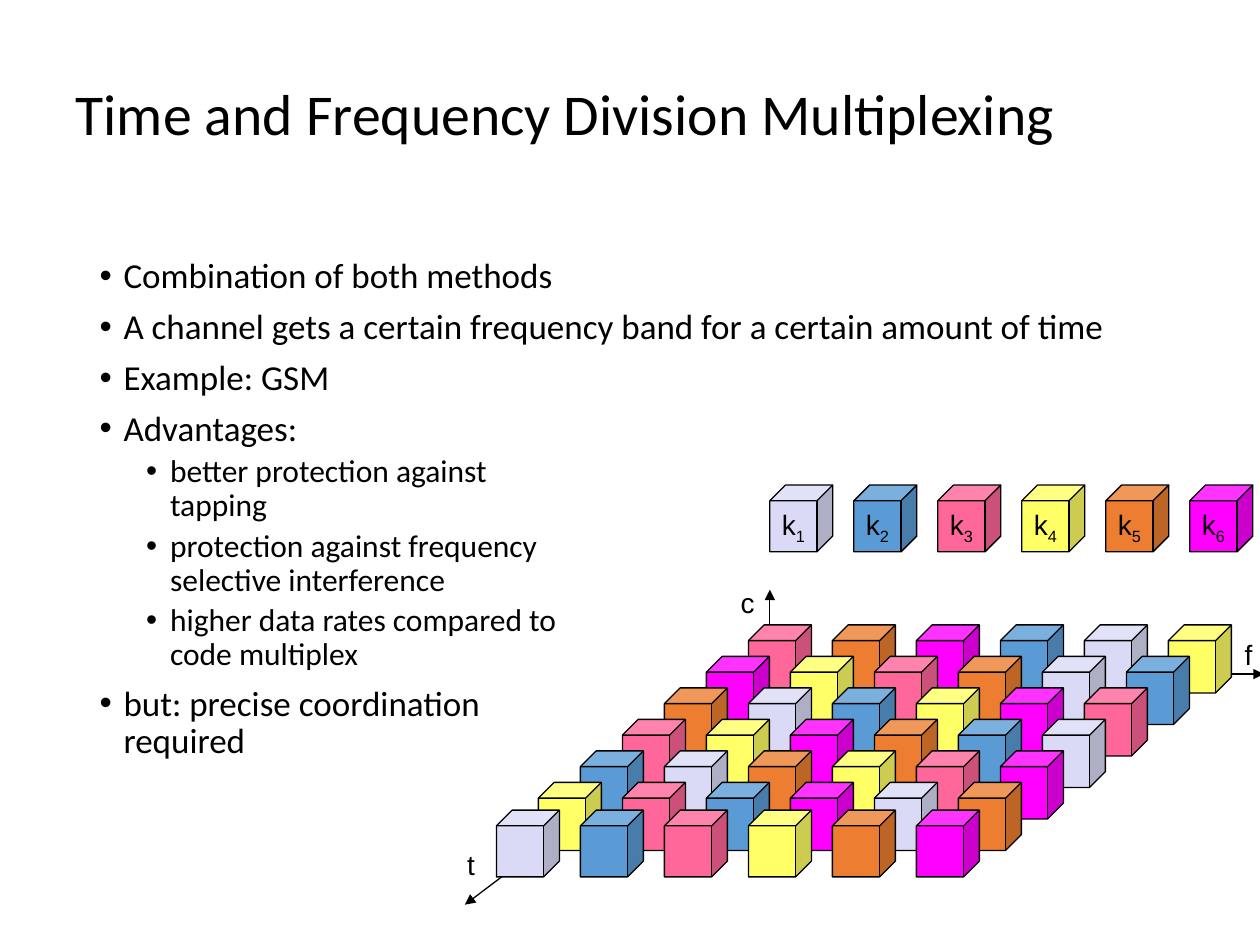
"""Build the slide on time and frequency division multiplexing."""
from dataclasses import dataclass

import lxml.etree
import pptx
import pptx.dml.color
import pptx.enum.shapes
import pptx.enum.text
import pptx.oxml.ns
import pptx.shapes.autoshape
import pptx.slide
import pptx.text.text
import pptx.util

Inches = pptx.util.Inches
Pt = pptx.util.Pt
RGBColor = pptx.dml.color.RGBColor
Align = pptx.enum.text.PP_ALIGN
Anchor = pptx.enum.text.MSO_ANCHOR
Fit = pptx.enum.text.MSO_AUTO_SIZE
qn = pptx.oxml.ns.qn

BLACK = RGBColor(0x00, 0x00, 0x00)
WHITE = RGBColor(0xFF, 0xFF, 0xFF)
LILAC = RGBColor(0xDA, 0xDA, 0xF6)
BLUE = RGBColor(0x5B, 0x9B, 0xD5)
PINK = RGBColor(0xFF, 0x66, 0x99)
YELLOW = RGBColor(0xFF, 0xFF, 0x66)
ORANGE = RGBColor(0xED, 0x7D, 0x31)
PURPLE = RGBColor(0xFF, 0x00, 0xFF)
SHADES = {1: LILAC, 2: BLUE, 3: PINK, 4: YELLOW, 5: ORANGE, 6: PURPLE}

START = (6.11, 5.35)
STEP = 2 / 3
SLANT = 1 / 3


@dataclass
class Axis:
    name: str
    end: tuple[float, float]
    left: float
    top: float
    width: float


@dataclass
class Item:
    lines: list[str]
    level: int = 0


@dataclass
class Row:
    top: float
    order: tuple[int, ...]


AXES = [
    Axis("f", (10.03, 5.35), 9.78, 5.01, 0.26),
    Axis("t", (3.69, 7.18), 3.61, 6.68, 0.26),
    Axis("c", (6.11, 4.68), 5.78, 4.6, 0.31),
]

ITEMS = [
    Item(["Combination of both methods"]),
    Item(["A channel gets a certain frequency band for a certain amount of time"]),
    Item(["Example: GSM"]),
    Item(["Advantages:"]),
    Item(["better protection against", "tapping"], 1),
    Item(["protection against frequency", "selective interference"], 1),
    Item(["higher data rates compared to", "code multiplex"], 1),
    Item(["but: precise coordination", "required"]),
]

ROWS = [
    Row(4.96, (3, 5, 6, 2, 1, 4)),
    Row(5.21, (6, 4, 3, 5, 1, 2)),
    Row(5.46, (5, 1, 2, 4, 6, 3)),
    Row(5.71, (3, 4, 6, 5, 2, 1)),
    Row(5.96, (2, 1, 5, 4, 3, 6)),
    Row(6.21, (4, 3, 2, 6, 1, 5)),
    Row(6.43, (1, 2, 3, 4, 5, 6)),
]


def add_run(para: pptx.text.text._Paragraph, text: str, size: float,
            face: str = "Arial") -> pptx.text.text._Run:
    run = para.add_run()
    run.text = text
    run.font.size = Pt(size)
    run.font.name = face
    run.font.color.rgb = BLACK
    return run


def add_title(slide: pptx.slide.Slide) -> None:
    title = slide.shapes.title
    title.left, title.top = Inches(0.5), Inches(0.3)
    title.width, title.height = Inches(9.28), Inches(1.25)
    frame = title.text_frame
    frame.auto_size = Fit.NONE
    frame.vertical_anchor = Anchor.MIDDLE
    para = frame.paragraphs[0]
    para.alignment = Align.LEFT
    para.line_spacing = 0.9
    add_run(para, "Time and Frequency Division Multiplexing", 33, "Calibri")


def add_list(slide: pptx.slide.Slide) -> None:
    body = slide.placeholders[1]
    body.left, body.top = Inches(0.69), Inches(2)
    body.width, body.height = Inches(8.63), Inches(4.76)
    frame = body.text_frame
    frame.auto_size = Fit.NONE
    for rank, item in enumerate(ITEMS):
        para = frame.add_paragraph() if rank else frame.paragraphs[0]
        props = para._p.get_or_add_pPr()
        props.set("marL", str(Inches(0.56 if item.level else 0.19)))
        props.set("indent", str(Inches(-0.19)))
        lxml.etree.SubElement(props, qn("a:buFont")).set("typeface", "Arial")
        lxml.etree.SubElement(props, qn("a:buChar")).set("char", "•")
        para.level = item.level
        para.line_spacing = 0.9
        para.space_before = Pt((3.7 if item.level else 7.5) if rank else 0)
        for place, line in enumerate(item.lines):
            if place:
                para.add_line_break()
            add_run(para, line, 18 if item.level else 20, "Calibri")


def add_arrow(slide: pptx.slide.Slide, axis: Axis) -> None:
    points = [Inches(value) for value in START + axis.end]
    arrow = slide.shapes.add_connector(
        pptx.enum.shapes.MSO_CONNECTOR.STRAIGHT, *points)
    arrow.line.color.rgb = BLACK
    arrow.line.width = Pt(0.75)
    tail = lxml.etree.SubElement(arrow.line._get_or_add_ln(), qn("a:tailEnd"))
    tail.set("type", "triangle")
    lxml.etree.SubElement(arrow._element.spPr, qn("a:effectLst"))


def add_label(slide: pptx.slide.Slide, axis: Axis) -> None:
    box = slide.shapes.add_textbox(Inches(axis.left), Inches(axis.top),
                                   Inches(axis.width), Inches(0.37))
    frame = box.text_frame
    frame.word_wrap = False
    frame.auto_size = Fit.SHAPE_TO_FIT_TEXT
    add_run(frame.paragraphs[0], axis.name, 16)


def add_cube(slide: pptx.slide.Slide, left: float, top: float, high: float,
             shade: RGBColor) -> pptx.shapes.autoshape.Shape:
    cube = slide.shapes.add_shape(
        pptx.enum.shapes.MSO_SHAPE.CUBE,
        Inches(left), Inches(top), Inches(0.5), Inches(high))
    cube.shadow.inherit = False
    cube.fill.solid()
    cube.fill.fore_color.rgb = shade
    cube.line.color.rgb = BLACK
    cube.line.width = Pt(0.75)
    return cube


def add_grid(slide: pptx.slide.Slide) -> None:
    for depth, row in enumerate(ROWS):
        high = 0.53 if row is ROWS[-1] else 0.54
        for col, key in enumerate(row.order):
            left = 5.94 - depth * SLANT + col * STEP
            add_cube(slide, left, row.top, high, SHADES[key])


def add_legend(slide: pptx.slide.Slide) -> None:
    for col, (key, shade) in enumerate(SHADES.items()):
        cube = add_cube(slide, 6.11 + col * STEP, 3.85, 0.53, shade)
        frame = cube.text_frame
        frame.word_wrap = False
        frame.vertical_anchor = Anchor.MIDDLE
        para = frame.paragraphs[0]
        para.alignment = Align.CENTER
        add_run(para, "k", 16)
        lower = add_run(para, str(key), 16)
        lower.font._element.set("baseline", "-25000")


def main() -> None:
    deck = pptx.Presentation()
    deck.slide_width, deck.slide_height = Inches(10), Inches(7.5)
    slide = deck.slides.add_slide(deck.slide_layouts[1])
    slide.background.fill.solid()
    slide.background.fill.fore_color.rgb = WHITE
    for axis in AXES:
        add_arrow(slide, axis)
    add_title(slide)
    add_list(slide)
    add_grid(slide)
    for axis in AXES:
        add_label(slide, axis)
    add_legend(slide)
    deck.save("out.pptx")


if __name__ == "__main__":
    main()
